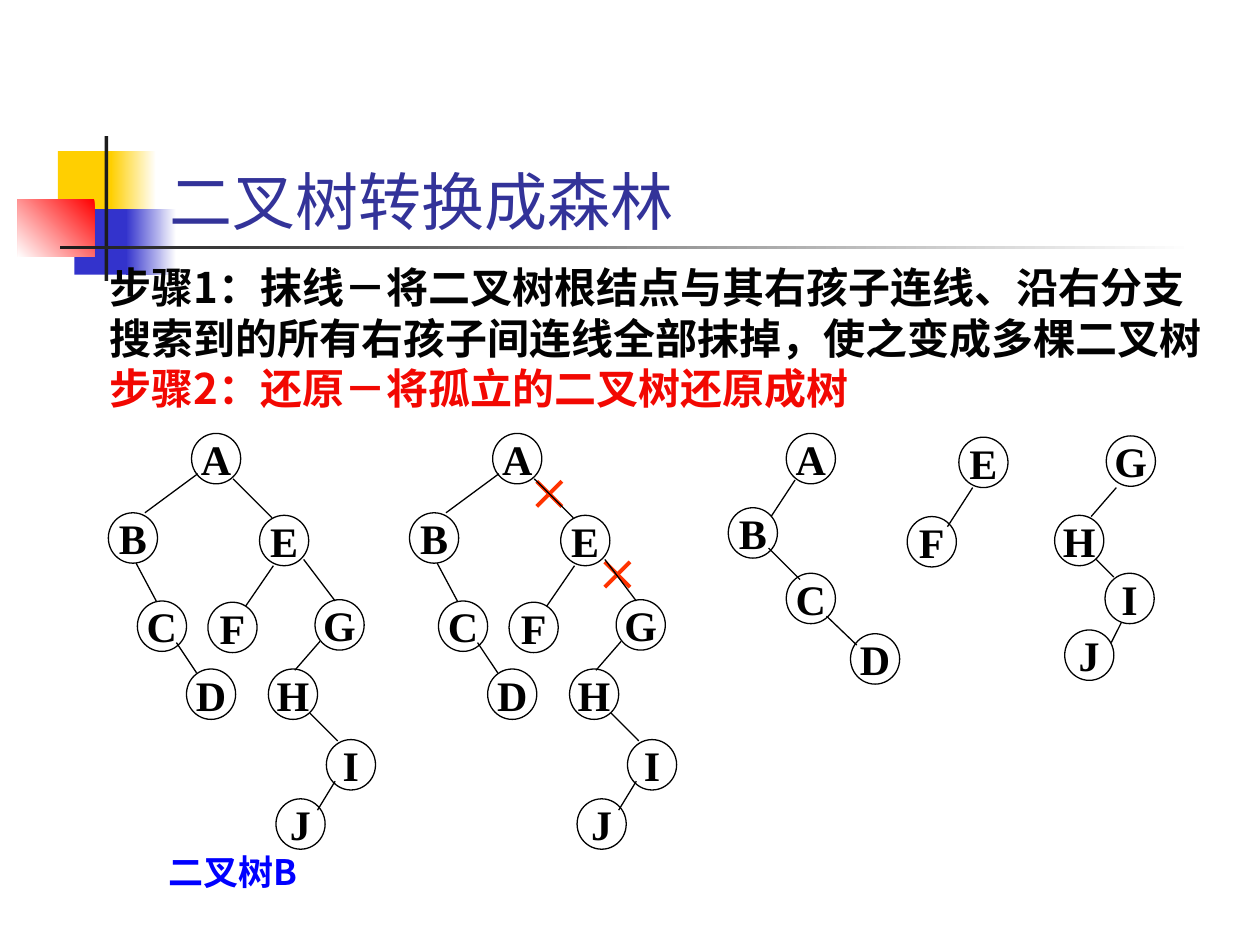
import dataclasses

import pptx
import pptx.dml.color
import pptx.enum.shapes
import pptx.enum.text
import pptx.oxml
import pptx.oxml.ns
import pptx.util

Inches = pptx.util.Inches
Pt = pptx.util.Pt
SHAPE = pptx.enum.shapes.MSO_SHAPE
ANCHOR = pptx.enum.text.MSO_ANCHOR
ALIGN = pptx.enum.text.PP_ALIGN


@dataclasses.dataclass(frozen=True)
class Theme:
    white: str = "FFFFFF"
    black: str = "000000"
    dark: str = "1C1C1C"
    gold: str = "FFCF01"
    blue: str = "3333CC"
    red: str = "FF0000"
    title: str = "333399"
    step: str = "020202"
    focus: str = "F20802"
    label: str = "0000FF"
    cross: str = "FF3300"
    head: str = "Karla"
    hans: str = "Noto Sans CJK SC"
    serif: str = "Times New Roman"
    big: float = 36
    mid: float = 24
    small: float = 20
    thin: float = 0.75
    thick: float = 2.25


T = Theme()
NODE = (0.39, 0.4)
SHIFT = 2.39  # from the whole tree to the tree with cut edges

# Node: left, top. Edge: x1, y1, x2, y2.
TREE = {
    "A": (1.52, 3.44), "B": (0.86, 4.07), "C": (1.09, 4.77),
    "D": (1.48, 5.31), "E": (2.06, 4.09), "F": (1.65, 4.78),
    "G": (2.5, 4.76), "H": (2.13, 5.31), "I": (2.59, 5.87),
    "J": (2.19, 6.34),
}
EDGES = [
    (1.57, 3.76, 1.15, 4.07), (1.08, 4.47, 1.24, 4.77),
    (1.4, 5.1, 1.56, 5.34), (1.85, 3.8, 2.16, 4.11),
    (2.17, 4.49, 1.95, 4.81), (2.41, 4.44, 2.66, 4.77),
    (2.54, 5.09, 2.34, 5.32), (2.46, 5.66, 2.68, 5.88),
    (2.66, 6.2, 2.52, 6.43),
]
FOREST = [
    ({"A": (6.24, 3.44), "B": (5.78, 4.03), "C": (6.24, 4.55),
      "D": (6.75, 5.03)},
     [(6.31, 3.81, 6.12, 4.1), (6.1, 4.35, 6.35, 4.6),
      (6.56, 4.89, 6.8, 5.12)]),
    ({"E": (7.61, 3.47), "F": (7.2, 4.1)},
     [(7.72, 3.87, 7.52, 4.18)]),
    ({"G": (8.78, 3.46), "H": (8.37, 4.09), "I": (8.77, 4.55),
      "J": (8.45, 5)},
     [(8.86, 3.87, 8.66, 4.1), (8.7, 4.44, 8.84, 4.58),
      (8.9, 4.94, 8.82, 5.1)]),
]
CUTS = [(4.36, 3.92), (4.9, 4.56)]


def rgb(code):
    return pptx.dml.color.RGBColor.from_string(code)


def write(frame, text, *, size, color, font, bold=False, align=None,
          pitch=None, indent=0, first=True):
    """Add one paragraph; pitch is a fixed line height in points."""
    para = frame.paragraphs[0] if first else frame.add_paragraph()
    para.alignment = align
    if pitch:
        para.line_spacing = Pt(pitch)
    if indent:
        props = para._p.get_or_add_pPr()
        props.set("marL", str(Inches(indent)))
        props.set("indent", "0")
    run = para.add_run()
    run.text = text
    run.font.size, run.font.bold, run.font.name = Pt(size), bold, font
    run.font.color.rgb = rgb(color)
    east = pptx.oxml.parse_xml(
        f'<a:ea {pptx.oxml.ns.nsdecls("a")} typeface="{T.hans}"/>')
    run._r.rPr.find(pptx.oxml.ns.qn("a:latin")).addnext(east)


def box(shapes, x, y, w, h, anchor=ANCHOR.TOP):
    frame = shapes.add_textbox(
        Inches(x), Inches(y), Inches(w), Inches(h)).text_frame
    frame.word_wrap = True
    frame.vertical_anchor = anchor
    return frame


def block(shapes, x, y, w, h, color, end=None, angle=180):
    """Add a plain block, or one fading from color to end."""
    shape = shapes.add_shape(
        SHAPE.RECTANGLE, Inches(x), Inches(y), Inches(w), Inches(h))
    shape.shadow.inherit = False
    shape.line.fill.background()
    if end is None:
        shape.fill.solid()
        shape.fill.fore_color.rgb = rgb(color)
        return
    shape.fill.gradient()
    shape.fill.gradient_angle = angle
    for stop, code, place in zip(shape.fill.gradient_stops,
                                 (color, end), (0, 1)):
        stop.color.rgb = rgb(code)
        stop.position = place


def line(shapes, x1, y1, x2, y2, color=T.black, width=T.thin):
    link = shapes.add_connector(
        pptx.enum.shapes.MSO_CONNECTOR.STRAIGHT,
        Inches(x1), Inches(y1), Inches(x2), Inches(y2))
    link.line.color.rgb = rgb(color)
    link.line.width = Pt(width)
    link._element.spPr.append(pptx.oxml.parse_xml(
        f'<a:effectLst {pptx.oxml.ns.nsdecls("a")}/>'))


def node(shapes, name, x, y):
    shape = shapes.add_shape(SHAPE.OVAL, Inches(x), Inches(y),
                             *map(Inches, NODE))
    shape.shadow.inherit = False
    shape.fill.background()
    shape.line.color.rgb = rgb(T.black)
    shape.line.width = Pt(T.thin)
    frame = shape.text_frame
    frame.word_wrap = False
    frame.vertical_anchor = ANCHOR.MIDDLE
    write(frame, name, size=T.mid, color=T.black, font=T.serif,
          bold=True, align=ALIGN.CENTER)


def tree(shapes, nodes, edges, dx=0):
    group = shapes.add_group_shape().shapes
    for name, (x, y) in nodes.items():
        node(group, name, x + dx, y)
    for x1, y1, x2, y2 in edges:
        line(group, x1 + dx, y1, x2 + dx, y2)


def cross(shapes, x, y, half=0.1):
    group = shapes.add_group_shape().shapes
    for side in (half, -half):
        line(group, x - side, y - half, x + side, y + half,
             T.cross, T.thick)


def decor(shapes):
    block(shapes, 0.46, 1.2, 0.48, 0.52, T.gold)
    block(shapes, 0.88, 1.2, 0.36, 0.52, T.white, T.gold)
    block(shapes, 0.59, 1.66, 0.46, 0.52, T.blue)
    block(shapes, 1, 1.66, 0.4, 0.52, T.white, T.blue)
    block(shapes, 0.14, 1.58, 0.61, 0.46, T.red, T.white, angle=225)
    block(shapes, 0.83, 1.08, 0.03, 1.15, T.dark)
    block(shapes, 0.48, 1.95, 9, 0.03, T.white, T.dark)


def main():
    deck = pptx.Presentation()
    deck.slide_width, deck.slide_height = Inches(10), Inches(7.5)
    shapes = deck.slides.add_slide(deck.slide_layouts[6]).shapes
    decor(shapes)
    write(box(shapes, 1.25, 0.52, 8.25, 1.42, ANCHOR.BOTTOM),
          "二叉树转换成森林", size=T.big, color=T.title, font=T.head)
    steps = box(shapes, 0.27, 2.03, 9.45, 1.3)
    look = dict(size=T.mid, font=T.hans, bold=True, pitch=28.8, indent=0.5)
    write(steps, "步骤1：抹线－将二叉树根结点与其右孩子连线、沿右分支"
          "搜索到的所有右孩子间连线全部抹掉，使之变成多棵二叉树",
          color=T.step, **look)
    write(steps, "步骤2：还原－将孤立的二叉树还原成树",
          color=T.focus, first=False, **look)
    for nodes, edges in FOREST:
        tree(shapes, nodes, edges)
    for x, y in CUTS:
        cross(shapes, x, y)
    write(box(shapes, 1.24, 6.7, 1.5, 0.44), "二叉树B", size=T.small,
          color=T.label, font=T.hans, bold=True, pitch=24)
    for dx in (0, SHIFT):
        tree(shapes, TREE, EDGES, dx)
    deck.save("out.pptx")


if __name__ == "__main__":
    main()
